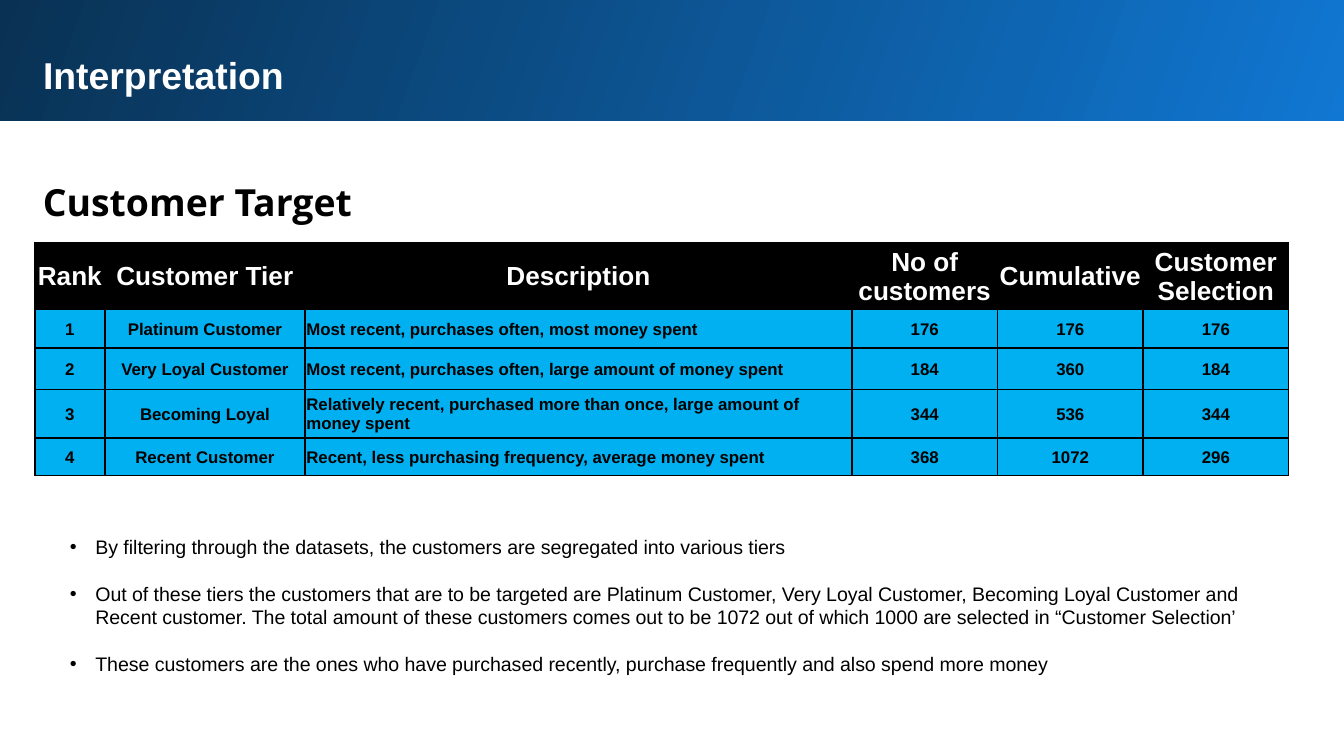
from dataclasses import dataclass

from lxml.etree import SubElement
from pptx import Presentation
from pptx.dml.color import RGBColor as RGB
from pptx.enum.shapes import MSO_SHAPE as SHAPE
from pptx.enum.text import MSO_ANCHOR as ANCHOR, MSO_AUTO_SIZE as AUTO, PP_ALIGN as ALIGN
from pptx.oxml.ns import qn
from pptx.util import Inches, Pt


@dataclass(frozen=True)
class Theme:
    """Colours, fonts and type sizes of the deck."""
    black: RGB = RGB(0x00, 0x00, 0x00)
    white: RGB = RGB(0xFF, 0xFF, 0xFF)
    cyan: RGB = RGB(0x00, 0xB0, 0xF0)
    bright: RGB = RGB(0x10, 0x77, 0xD2)
    navy: RGB = RGB(0x09, 0x31, 0x53)
    sans: str = "Arial"
    display: str = "Open Sans"
    title: float = 20
    head: float = 14
    cell: float = 9
    body: float = 10.5


class Deck:
    """Holds the theme and the current slide, and adds elements to it."""

    def __init__(self, prs, theme):
        """Start a title-only slide."""
        self.theme = theme
        self.s = prs.slides.add_slide(prs.slide_layouts[5])

    def style(self, p, size, color, name=None, bold=True):
        """Format the font of a paragraph."""
        values = dict(size=Pt(size), name=name or self.theme.sans, bold=bold)
        for key, value in values.items():
            setattr(p.font, key, value)
        p.font.color.rgb = color

    def frame(self, sp, inset):
        """Set up the text frame of a shape and return it."""
        tf = sp.text_frame
        values = dict(word_wrap=True, auto_size=AUTO.NONE, vertical_anchor=ANCHOR.TOP)
        values.update({f"margin_{side}": Inches(inset)
                       for side in ("left", "top", "right", "bottom")})
        for key, value in values.items():
            setattr(tf, key, value)
        return tf

    def banner(self, box):
        """Add the gradient band behind the title."""
        sp = self.s.shapes.add_shape(SHAPE.RECTANGLE, *map(Inches, box))
        sp.shadow.inherit = False
        sp.line.fill.background()
        sp.fill.gradient()
        sp.fill.gradient_angle = 160
        for stop, color in zip(sp.fill.gradient_stops, (self.theme.bright, self.theme.navy)):
            stop.color.rgb = color
        self.s.shapes.title.element.addprevious(sp.element)

    def title(self, text, box):
        """Place and fill the title placeholder."""
        sp = self.s.shapes.title
        for key, value in zip(("left", "top", "width", "height"), box):
            setattr(sp, key, Inches(value))
        p = self.frame(sp, 0.1).paragraphs[0]
        p.text, p.alignment = text, ALIGN.LEFT
        self.style(p, self.theme.title, self.theme.white)

    def heading(self, text, box):
        """Add a section heading."""
        sp = self.s.shapes.add_textbox(*map(Inches, box))
        p = self.frame(sp, 0.1).paragraphs[0]
        p.text, p.line_spacing = text, 1.15
        self.style(p, self.theme.title, self.theme.black, self.theme.display)

    def borders(self, cell):
        """Draw a thin line on all four sides of a cell."""
        props = cell._tc.get_or_add_tcPr()
        for side in ("lnL", "lnR", "lnT", "lnB"):
            line = SubElement(props, qn(f"a:{side}"), w=str(Pt(1)))
            fill = SubElement(line, qn("a:solidFill"))
            SubElement(fill, qn("a:srgbClr"), val=str(self.theme.black))

    def table(self, rows, left, top, widths, heights, left_col):
        """Add a table with a header row and one left-aligned column."""
        t = self.theme
        box = map(Inches, (left, top, sum(widths), sum(heights)))
        table = self.s.shapes.add_table(len(rows), len(widths), *box).table
        for col, width in zip(table.columns, widths):
            col.width = Inches(width)
        for i, (row, height) in enumerate(zip(rows, heights)):
            table.rows[i].height = Inches(height)
            size, color, fill = (t.cell, t.black, t.cyan) if i else (t.head, t.white, t.black)
            for j, text in enumerate(row):
                cell = table.cell(i, j)
                values = dict(vertical_anchor=ANCHOR.MIDDLE, margin_left=Inches(0.01),
                              margin_top=Inches(0.01), margin_right=Inches(0.01),
                              margin_bottom=0, text=text)
                for key, value in values.items():
                    setattr(cell, key, value)
                self.borders(cell)
                cell.fill.solid()
                cell.fill.fore_color.rgb = fill
                p = cell.text_frame.paragraphs[0]
                p.alignment = ALIGN.LEFT if i and j == left_col else ALIGN.CENTER
                self.style(p, size, color)

    def bullets(self, items, box):
        """Add a bulleted list with a line of space between items."""
        tf = self.frame(self.s.shapes.add_textbox(*map(Inches, box)), 0.05)
        for i, text in enumerate(items):
            p = tf.add_paragraph() if i else tf.paragraphs[0]
            p.text = text
            if i:
                p.space_before = Pt(12.5)
            props = p._p.get_or_add_pPr()
            props.set("marL", str(Inches(0.19)))
            props.set("indent", str(-Inches(0.19)))
            SubElement(props, qn("a:buFont"), typeface=self.theme.sans)
            SubElement(props, qn("a:buChar"), char="•")
            self.style(p, self.theme.body, self.theme.black, bold=False)


ROWS = [
    ("Rank", "Customer Tier", "Description", "No of customers", "Cumulative",
     "Customer Selection"),
    ("1", "Platinum Customer", "Most recent, purchases often, most money spent",
     "176", "176", "176"),
    ("2", "Very Loyal Customer", "Most recent, purchases often, large amount of money spent",
     "184", "360", "184"),
    ("3", "Becoming Loyal",
     "Relatively recent, purchased more than once, large amount of money spent",
     "344", "536", "344"),
    ("4", "Recent Customer", "Recent, less purchasing frequency, average money spent",
     "368", "1072", "296"),
]
NOTES = [
    "By filtering through the datasets, the customers are segregated into various tiers",
    "Out of these tiers the customers that are to be targeted are Platinum Customer, "
    "Very Loyal Customer, Becoming Loyal Customer and Recent customer. The total amount of "
    "these customers comes out to be 1072 out of which 1000 are selected in "
    "“Customer Selection’",
    "These customers are the ones who have purchased recently, purchase frequently and "
    "also spend more money",
]


def main():
    """Build and save the slide."""
    prs = Presentation()
    prs.slide_width = Inches(10)
    prs.slide_height = prs.slide_width * 9 // 16
    deck = Deck(prs, Theme())
    deck.banner((-0.02, -0.02, 10.05, 0.92))
    deck.title("Interpretation", (0.22, 0.29, 9.37, 0.83))
    deck.heading("Customer Target", (0.22, 1.18, 9.37, 0.56))
    text_widths = [0.52, 1.49, 4.07]
    number_width = (9.33 - sum(text_widths)) / 3
    deck.table(ROWS, 0.26, 1.81, text_widths + [number_width] * 3,
               [0.49, 0.29, 0.31, 0.36, 0.28], left_col=2)
    deck.bullets(NOTES, (0.47, 3.93, 8.9, 1.33))
    prs.save("out.pptx")


if __name__ == "__main__":
    main()
